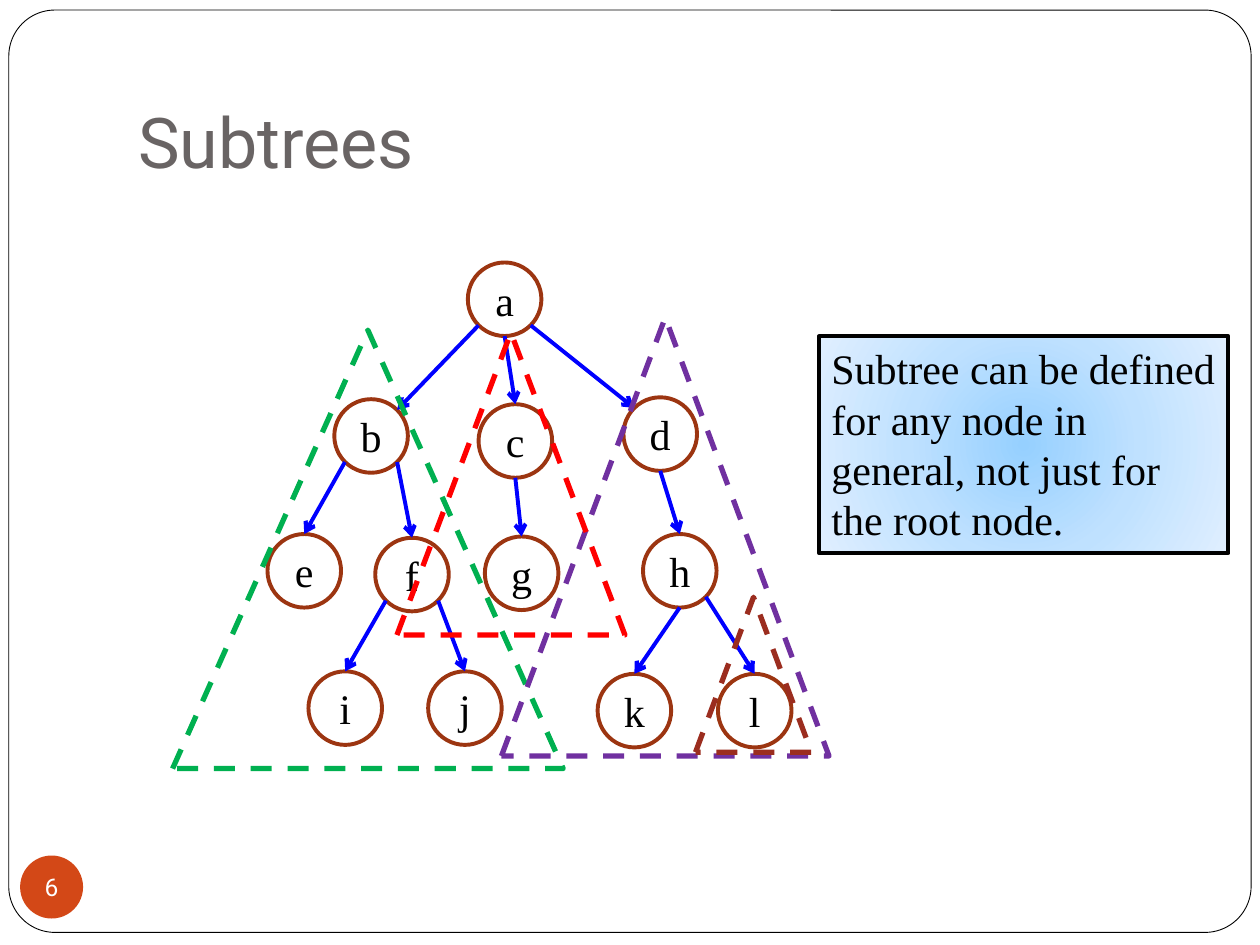
from lxml import etree
from pptx import Presentation
from pptx.dml.color import RGBColor
from pptx.enum.dml import MSO_LINE
from pptx.enum.shapes import MSO_CONNECTOR, MSO_SHAPE
from pptx.enum.text import MSO_ANCHOR, PP_ALIGN
from pptx.oxml import parse_xml
from pptx.oxml.ns import nsdecls, qn
from pptx.util import Emu, Inches, Pt

OVAL, RECTANGLE = MSO_SHAPE.OVAL, MSO_SHAPE.RECTANGLE
ROUNDED, TRIANGLE = MSO_SHAPE.ROUNDED_RECTANGLE, MSO_SHAPE.ISOSCELES_TRIANGLE
STRAIGHT, DASH = MSO_CONNECTOR.STRAIGHT, MSO_LINE.DASH
TOP, MIDDLE, BOTTOM = MSO_ANCHOR.TOP, MSO_ANCHOR.MIDDLE, MSO_ANCHOR.BOTTOM
LEFT, CENTER = PP_ALIGN.LEFT, PP_ALIGN.CENTER

THEME = {
    "paper": "FFFFFF", "ink": "000000", "title": "696464", "badge": "D34817",
    "node": "9C3511", "edge": "0000FF",
    "glow": [(0, "96D0FF"), (50, "BFE1FF"), (100, "E0EFFF")],
    "sans": "Roboto", "serif": "Times New Roman",
    "title size": 40, "body size": 24, "number size": 14,
    "frame line": 0.5, "line": 2.25, "dash line": 3,
}

deck = Presentation()
deck.slide_width, deck.slide_height = Inches(10), Inches(7.5)
page = deck.slides.add_slide(deck.slide_layouts[6])
CELL = deck.slide_width / 100  # square grid: 100 columns by 75 rows


def draw(kind, area, fill=None, line=None, width=THEME["line"], dash=None):
    """Add a preset shape; area is left, top, width, height in grid cells."""
    shape = page.shapes.add_shape(kind, *(Emu(round(n * CELL)) for n in area))
    shape.shadow.inherit = False
    for part, colour in ((shape.fill, fill), (shape.line.fill, line)):
        if colour:
            part.solid()
            part.fore_color.rgb = RGBColor.from_string(colour)
        else:
            part.background()
    if line:
        shape.line.width = Pt(width)
        shape.line.dash_style = dash
    return shape


def write(shape, text, font, size, colour, align=CENTER, anchor=MIDDLE,
          wrap=False, margins=(0, 0, 0, 0)):
    """Fill a shape with one paragraph; margins are in grid cells."""
    frame = shape.text_frame
    sides = ("margin_left", "margin_top", "margin_right", "margin_bottom")
    settings = dict(zip(sides, (Emu(round(n * CELL)) for n in margins)))
    settings.update(word_wrap=wrap, vertical_anchor=anchor)
    for name, value in settings.items():
        setattr(frame, name, value)
    para = frame.paragraphs[0]
    para.alignment = align
    span = para.add_run()
    span.text = text
    for name, value in {"name": font, "size": Pt(size)}.items():
        setattr(span.font, name, value)
    span.font.color.rgb = RGBColor.from_string(colour)


# Frame, title and page number
frame = draw(ROUNDED, (0.7, 0.8, 98.6, 73.2), THEME["paper"], THEME["ink"],
             THEME["frame line"])
frame.adjustments[0] = 0.05
title = page.shapes.add_textbox(*(Emu(round(n * CELL)) for n in (10, 3, 85, 12.5)))
write(title, "Subtrees", THEME["sans"], THEME["title size"], THEME["title"],
      LEFT, BOTTOM, True, (1, 0.5, 1, 1))
badge = draw(OVAL, (1.6, 67.9, 5, 5), THEME["badge"])
write(badge, "6", THEME["sans"], THEME["number size"], THEME["paper"])

# Tree nodes, by centre
RADIUS = 2.92
NODES = {
    "a": (40.05, 23.75), "b": (29.45, 34.6), "c": (40.9, 35), "d": (52.4, 34.45),
    "e": (24.15, 45.3), "f": (32.7, 45.6), "g": (41.4, 45.5), "h": (53.95, 45.3),
    "i": (27.4, 56.2), "j": (36.9, 56.2), "k": (50.35, 56.4), "l": (59.9, 56.4),
}
for letter, (x, y) in NODES.items():
    node = draw(OVAL, (x - RADIUS, y - RADIUS, 2 * RADIUS, 2 * RADIUS),
                line=THEME["node"])
    write(node, letter, THEME["serif"], THEME["body size"], THEME["ink"])

# Edges leave and enter at the compass points of the circles
SLANT = 0.71
COMPASS = {"N": (0, -1), "S": (0, 1), "NE": (SLANT, -SLANT), "NW": (-SLANT, -SLANT),
           "SE": (SLANT, SLANT), "SW": (-SLANT, SLANT)}
EDGES = [
    ("a", "SW", "b", "NE"), ("a", "S", "c", "N"), ("a", "SE", "d", "NW"),
    ("b", "SW", "e", "N"), ("b", "SE", "f", "N"), ("c", "S", "g", "N"),
    ("d", "S", "h", "N"), ("f", "SW", "i", "N"), ("f", "SE", "j", "N"),
    ("h", "S", "k", "N"), ("h", "SE", "l", "N"),
]
for parent, leave, child, enter in EDGES:
    ends = [Emu(round((centre + RADIUS * step) * CELL))
            for letter, side in ((parent, leave), (child, enter))
            for centre, step in zip(NODES[letter], COMPASS[side])]
    edge = page.shapes.add_connector(STRAIGHT, *ends)
    edge.line.width = Pt(THEME["line"])
    edge.line.color.rgb = RGBColor.from_string(THEME["edge"])
    etree.SubElement(edge.line._get_or_add_ln(), qn("a:tailEnd"), type="arrow")
    etree.SubElement(edge._element.spPr, qn("a:effectLst"))

# Dashed outlines around the subtrees
SUBTREES = [
    ("00B050", (13.7, 26.2, 31, 34.8)),
    ("7030A0", (39.8, 25.2, 26, 34.8)),
    ("FF0000", (31.5, 26.4, 18.1, 24)),
    ("9B2D1F", (55.2, 47.4, 9.2, 12.3)),
]
for colour, area in SUBTREES:
    draw(TRIANGLE, area, line=colour, width=THEME["dash line"], dash=DASH)

# Remark with a radial gradient
remark = draw(RECTANGLE, (65, 26.7, 32.5, 17.2), line=THEME["ink"])
stops = "".join(f'<a:gs pos="{share * 1000}"><a:srgbClr val="{colour}"/></a:gs>'
                for share, colour in THEME["glow"])
glow = parse_xml(
    f'<a:gradFill {nsdecls("a")} rotWithShape="1"><a:gsLst>{stops}</a:gsLst>'
    '<a:path path="circle"><a:fillToRect l="50000" t="50000" r="50000" b="50000"/>'
    '</a:path></a:gradFill>')
properties = remark._element.spPr
properties.replace(properties.find(qn("a:noFill")), glow)
write(remark, "Subtree can be defined for any node in general, not just for the root node.",
      THEME["serif"], THEME["body size"], THEME["ink"], LEFT, TOP, True,
      (1, 0.5, 1, 0.5))

deck.save("out.pptx")
